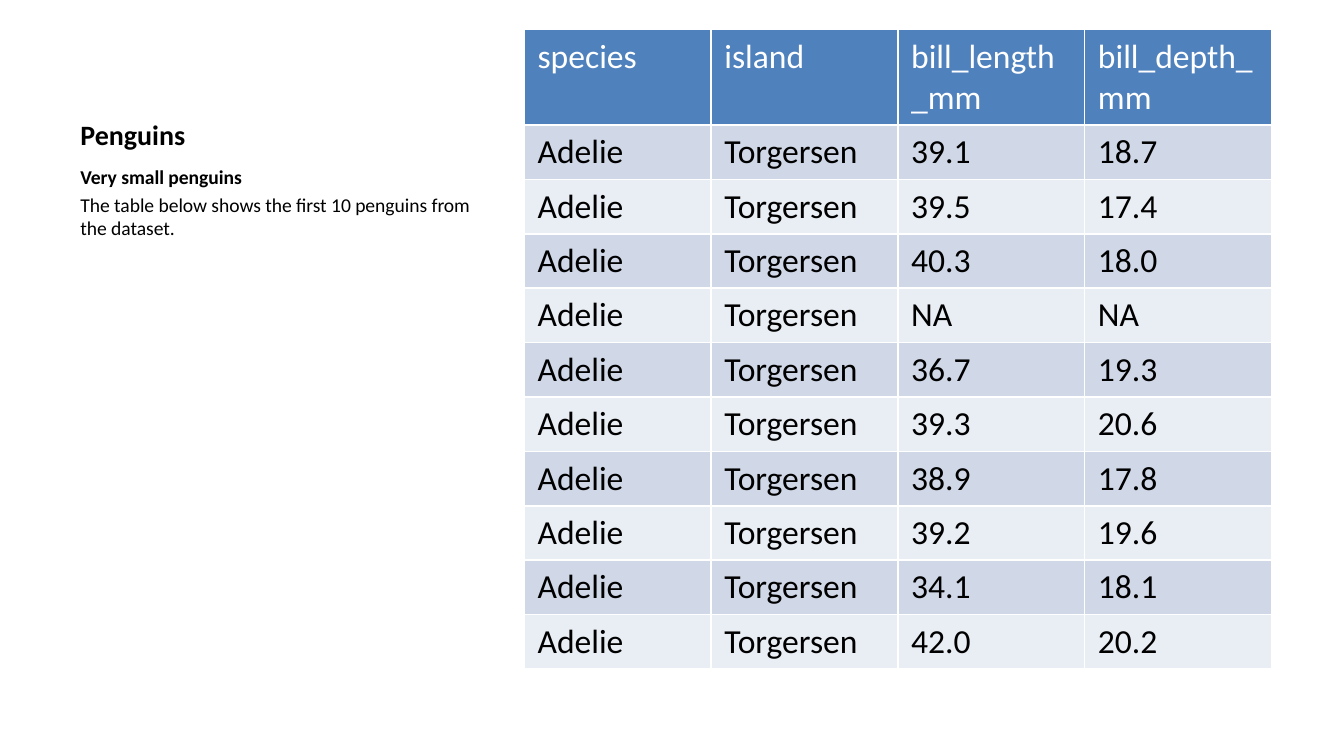
from pptx import Presentation
from pptx.dml.color import RGBColor
from pptx.enum.text import MSO_ANCHOR
from pptx.util import Inches, Pt

TOP, BOTTOM = MSO_ANCHOR.TOP, MSO_ANCHOR.BOTTOM
FONT = "Calibri"
SLIDE_WIDTH = 10
SLIDE_HEIGHT = SLIDE_WIDTH * 9 / 16
COLORS = {
    "text": "000000",
    "header_text": "FFFFFF",
    "header": "4F81BD",
    "band_dark": "D0D8E8",
    "band_light": "E9EDF4",
}
HEADERS = ["species", "island", "bill_length_mm", "bill_depth_mm"]
BILLS = [
    ("39.1", "18.7"),
    ("39.5", "17.4"),
    ("40.3", "18.0"),
    ("NA", "NA"),
    ("36.7", "19.3"),
    ("39.3", "20.6"),
    ("38.9", "17.8"),
    ("39.2", "19.6"),
    ("34.1", "18.1"),
    ("42.0", "20.2"),
]


def rgb(name):
    return RGBColor.from_string(COLORS[name])


def format_paragraph(p, size, color, bold=False):
    for r in p.runs:
        r.font.name = FONT
        r.font.size = Pt(size)
        r.font.bold = bold
        r.font.color.rgb = rgb(color)


def add_text(s, left, top, width, height, lines, size, anchor=TOP):
    box = s.shapes.add_textbox(Inches(left), Inches(top), Inches(width), Inches(height))
    tf = box.text_frame
    tf.word_wrap = True
    tf.vertical_anchor = anchor
    tf.text = "\n".join(text for text, bold in lines)
    for i, (p, (text, bold)) in enumerate(zip(tf.paragraphs, lines)):
        if i:
            p.space_before = Pt(2)
        format_paragraph(p, size, "text", bold)


def fill_cell(cell, text, fill, color):
    cell.text = text
    cell.fill.solid()
    cell.fill.fore_color.rgb = rgb(fill)
    format_paragraph(cell.text_frame.paragraphs[0], 18, color)


def add_penguin_table(s, left, top, width, height, header_height):
    rows = [HEADERS] + [["Adelie", "Torgersen", *bill] for bill in BILLS]
    row_height = (height - header_height) / len(BILLS)
    table = s.shapes.add_table(
        len(rows), len(HEADERS), Inches(left), Inches(top), Inches(width), Inches(height)
    ).table
    for i, values in enumerate(rows):
        table.rows[i].height = Inches(row_height if i else header_height)
        if i == 0:
            fill, color = "header", "header_text"
        else:
            fill, color = "band_dark" if i % 2 else "band_light", "text"
        for j, value in enumerate(values):
            fill_cell(table.cell(i, j), value, fill, color)


def main():
    prs = Presentation()
    prs.slide_width, prs.slide_height = Inches(SLIDE_WIDTH), Inches(SLIDE_HEIGHT)
    s = prs.slides.add_slide(prs.slide_layouts[6])
    add_text(s, 0.5, 0.22, 3.29, 0.95, [("Penguins", True)], 15, BOTTOM)
    description = [
        ("Very small penguins", True),
        ("The table below shows the first 10 penguins from the dataset.", False),
    ]
    add_text(s, 0.5, 1.18, 3.29, 3.85, description, 10.5)
    add_penguin_table(s, 3.9, 0.22, 5.56, 4.76, 0.71)
    prs.save("out.pptx")


if __name__ == "__main__":
    main()
